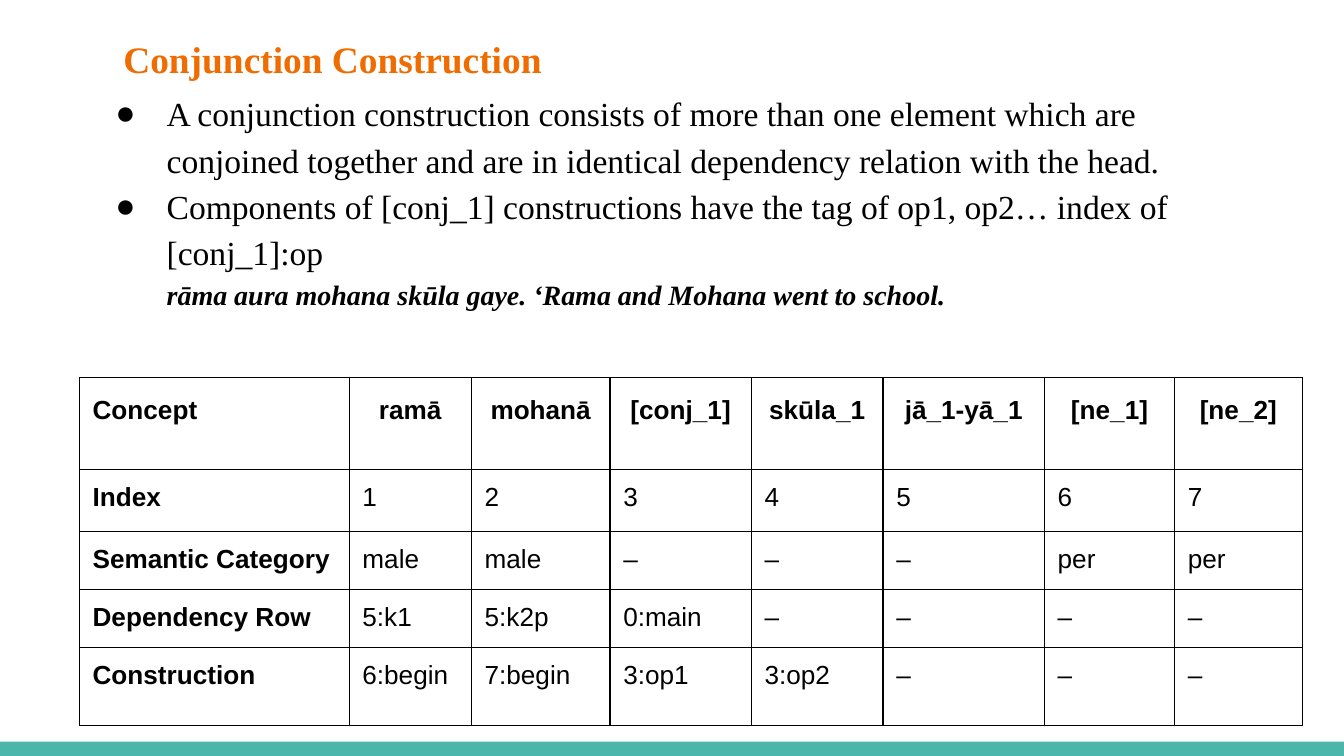
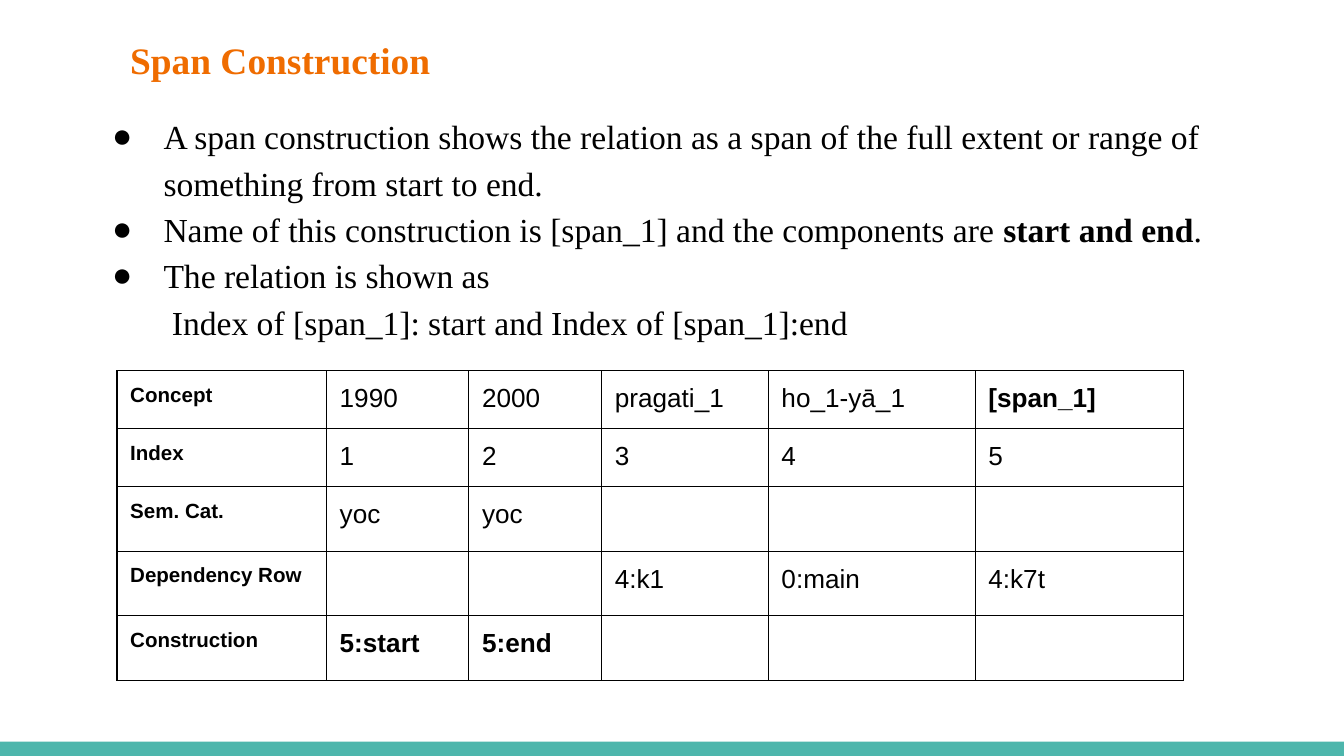
from lxml import etree
from pptx import Presentation
from pptx.dml.color import RGBColor
from pptx.enum.shapes import MSO_SHAPE
from pptx.enum.text import MSO_ANCHOR, MSO_AUTO_SIZE, PP_ALIGN
from pptx.oxml.ns import qn
from pptx.util import Cm, Pt

RECTANGLE = MSO_SHAPE.RECTANGLE
TOP = MSO_ANCHOR.TOP
GROW = MSO_AUTO_SIZE.SHAPE_TO_FIT_TEXT
LEFT, CENTER = PP_ALIGN.LEFT, PP_ALIGN.CENTER

ORANGE, TEAL, BLACK = "EF6C00", "4DB6AC", "000000"
SERIF, SANS = "Times New Roman", "Arial"
INSET = Cm(0.25)
BULLET_INDENT, HANGING = Cm(1.27), Cm(0.97)
LINE_SPACING = 1.15

SLIDES = [
    {
        "title": "Conjunction Construction",
        "title_box": (2.08, 0.3, 16.97, 1.37),
        "bullets": [
            "A conjunction construction consists of more than one element which are "
            "conjoined together and are in identical dependency relation with the head.",
            "Components of [conj_1] constructions have the tag of op1, op2… index of [conj_1]:op",
        ],
        "closing": "rāma aura mohana skūla gaye. ‘Rama and Mohana went to school.",
        "closing_size": 15,
        "closing_strong": True,
        "closing_indent": 1.27,
        "body_box": (1.63, 1.4, 22.15, 4.7),
        "table_at": (1.5, 7.14),
        "columns": [5.1, 2.31, 2.62, 2.67, 2.49, 3.05, 2.46, 2.41],
        "row_heights": [1.73, 1.17, 1.1, 1.1, 1.47],
        "label_size": 14,
        "heading_centered": True,
        "bold_cells": ["ramā", "mohanā", "[conj_1]", "skūla_1", "jā_1-yā_1", "[ne_1]", "[ne_2]"],
        "rows": [
            ["Concept", "ramā", "mohanā", "[conj_1]", "skūla_1", "jā_1-yā_1", "[ne_1]", "[ne_2]"],
            ["Index", "1", "2", "3", "4", "5", "6", "7"],
            ["Semantic Category", "male", "male", "–", "–", "–", "per", "per"],
            ["Dependency Row", "5:k1", "5:k2p", "0:main", "–", "–", "–", "–"],
            ["Construction", "6:begin", "7:begin", "3:op1", "3:op2", "–", "–", "–"],
        ],
    },
    {
        "title": "Span Construction",
        "title_box": (2.21, 0.33, 8.33, 1.37),
        "bullets": [
            "A span construction shows the relation as a span of the full extent or range of "
            "something from start to end.",
            "Name of this construction is [span_1] and the components are **start and end**.",
            "The relation is shown as",
        ],
        "closing": "Index of [span_1]: start and Index of [span_1]:end",
        "closing_size": 18,
        "closing_strong": False,
        "closing_indent": 1.43,
        "body_box": (1.57, 1.83, 21.79, 4.83),
        "table_at": (2.21, 7.01),
        "columns": [3.96, 2.69, 2.51, 3.15, 3.91, 3.94],
        "row_heights": [1.06, 1.06, 1.22, 1.22, 1.22],
        "label_size": 11,
        "heading_centered": False,
        "bold_cells": ["[span_1]", "5:start", "5:end"],
        "rows": [
            ["Concept", "1990", "2000", "pragati_1", "ho_1-yā_1", "[span_1]"],
            ["Index", "1", "2", "3", "4", "5"],
            ["Sem. Cat.", "yoc", "yoc", "", "", ""],
            ["Dependency Row", "", "", "4:k1", "0:main", "4:k7t"],
            ["Construction", "5:start", "5:end", "", "", ""],
        ],
    },
]


def color(hex_text):
    return RGBColor.from_string(hex_text)


def style(font, name, size, hex_text, bold=False, italic=False):
    font.name, font.size, font.bold, font.italic = name, Pt(size), bold, italic
    font.color.rgb = color(hex_text)


deck = Presentation()
deck.slide_width, deck.slide_height = Cm(25.4), Cm(14.29)
layout = deck.slide_layouts[1]

for number, content in enumerate(SLIDES):
    page = deck.slides.add_slide(layout)

    # The band is drawn once and handed to the master, which shows it on every slide.
    if number == 0:
        band = page.shapes.add_shape(RECTANGLE, 0, Cm(14.02), deck.slide_width, Cm(0.27))
        band.shadow.inherit = False
        band.fill.solid()
        band.fill.fore_color.rgb = color(TEAL)
        band.line.fill.background()
        deck.slide_master.shapes.element.append(band.element)

    title, body = page.shapes.title, page.placeholders[1]
    for box, place in ((title, content["title_box"]), (body, content["body_box"])):
        box.left, box.top, box.width, box.height = map(Cm, place)
        frame = box.text_frame
        frame.margin_left = frame.margin_right = INSET
        frame.margin_top = frame.margin_bottom = INSET
        frame.vertical_anchor = TOP
        frame.word_wrap = True
        frame.auto_size = GROW

    para = title.text_frame.paragraphs[0]
    para.text = content["title"]
    para.alignment = LEFT
    para.line_spacing = LINE_SPACING
    para.space_before, para.space_after = Pt(16), Pt(4)
    style(para.font, SERIF, 20, ORANGE, bold=True)

    lines = content["bullets"] + [content["closing"]]
    for index, line in enumerate(lines):
        is_closing = index == len(lines) - 1
        para = body.text_frame.paragraphs[0] if index == 0 else body.text_frame.add_paragraph()
        for part, words in enumerate(line.split("**")):
            span = para.add_run()
            span.text = words
            if part % 2:
                span.font.bold = True
        properties = para._p.get_or_add_pPr()
        if is_closing:
            properties.set("marL", str(Cm(content["closing_indent"])))
            properties.set("indent", "0")
            etree.SubElement(properties, qn("a:buNone"))
        else:
            properties.set("marL", str(BULLET_INDENT))
            properties.set("indent", str(-HANGING))
            bullet_color = etree.SubElement(properties, qn("a:buClr"))
            etree.SubElement(bullet_color, qn("a:srgbClr"), val=BLACK)
            etree.SubElement(properties, qn("a:buFont"), typeface=SERIF)
            etree.SubElement(properties, qn("a:buChar"), char="●")
        para.line_spacing = LINE_SPACING
        para.space_before = para.space_after = Pt(0)
        strong = is_closing and content["closing_strong"]
        size = content["closing_size"] if is_closing else 18
        style(para.font, SERIF, size, BLACK, bold=strong, italic=strong)

    rows, columns, heights = content["rows"], content["columns"], content["row_heights"]
    left, top = map(Cm, content["table_at"])
    table = page.shapes.add_table(
        len(rows), len(columns), left, top, Cm(sum(columns)), Cm(sum(heights))
    ).table
    table.first_row = table.horz_banding = False
    for column, width in zip(table.columns, columns):
        column.width = Cm(width)
    for row, height in zip(table.rows, heights):
        row.height = Cm(height)

    for row_index, row in enumerate(rows):
        for column_index, text in enumerate(row):
            cell = table.cell(row_index, column_index)
            cell.margin_left = cell.margin_right = INSET
            cell.margin_top = cell.margin_bottom = INSET
            cell_properties = cell._tc.get_or_add_tcPr()
            for side in ("a:lnL", "a:lnR", "a:lnT", "a:lnB"):
                border = etree.SubElement(cell_properties, qn(side), w=str(Pt(0.75)))
                border_fill = etree.SubElement(border, qn("a:solidFill"))
                etree.SubElement(border_fill, qn("a:srgbClr"), val=BLACK)
            cell.fill.background()

            is_label = column_index == 0
            para = cell.text_frame.paragraphs[0]
            para.text = text
            if row_index == 0 and content["heading_centered"]:
                para.line_spacing = LINE_SPACING
                para.alignment = LEFT if is_label else CENTER
            style(
                para.font,
                SANS,
                content["label_size"] if is_label else 14,
                BLACK,
                bold=is_label or text in content["bold_cells"],
            )

deck.save("out.pptx")
